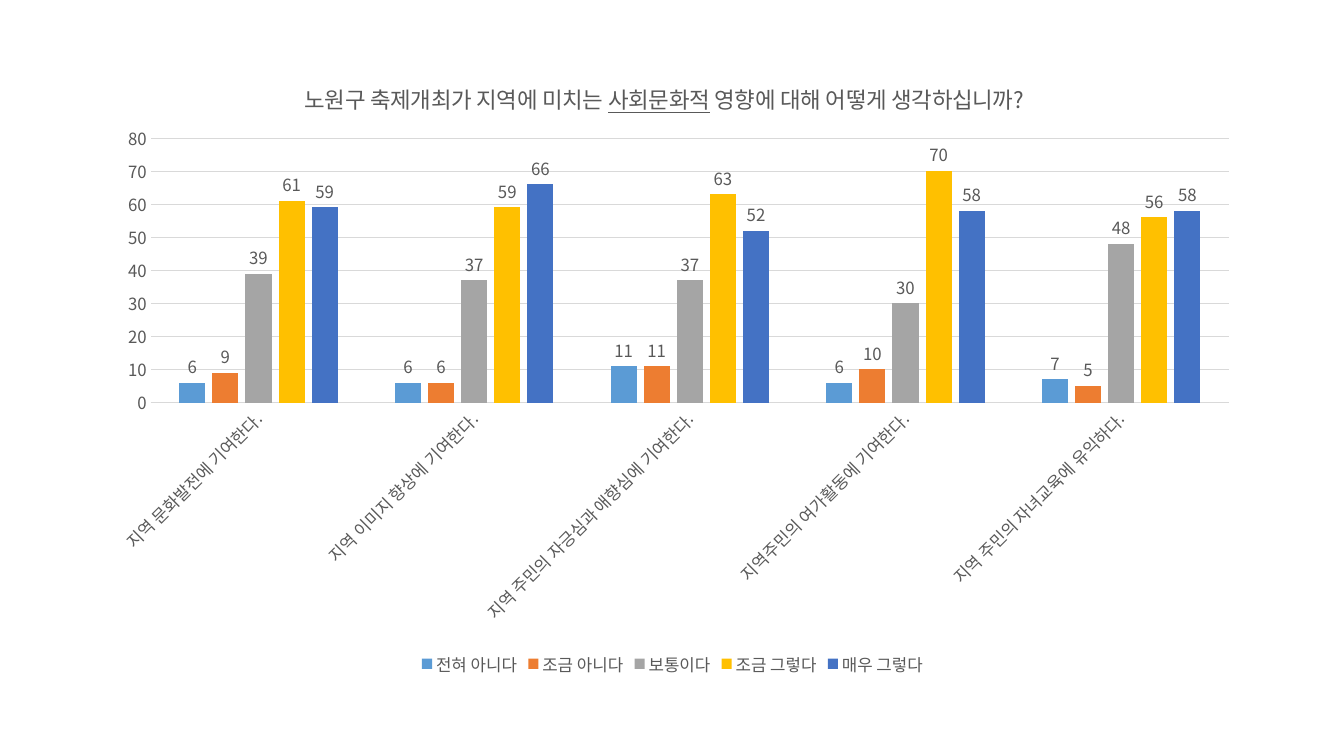
from lxml import etree
from pptx import Presentation
from pptx import util as u
from pptx.chart.data import CategoryChartData
from pptx.dml.color import RGBColor
from pptx.enum import chart as ch
from pptx.oxml.ns import qn

# Content
TITLE = [("노원구 축제개최가 지역에 미치는 ", False), ("사회문화적", True),
         (" 영향에 대해 어떻게 생각하십니까?", False)]
ITEMS = ["지역 문화발전에 기여한다.", "지역 이미지 향상에 기여한다.",
         "지역 주민의 자긍심과 애향심에 기여한다.",
         "지역주민의 여가활동에 기여한다.", "지역 주민의 자녀교육에 유익하다."]
SERIES = [
    ("전혀 아니다", [6, 6, 11, 6, 7], RGBColor(0x5B, 0x9B, 0xD5)),
    ("조금 아니다", [9, 6, 11, 10, 5], RGBColor(0xED, 0x7D, 0x31)),
    ("보통이다", [39, 37, 37, 30, 48], RGBColor(0xA5, 0xA5, 0xA5)),
    ("조금 그렇다", [61, 59, 63, 70, 56], RGBColor(0xFF, 0xC0, 0x00)),
    ("매우 그렇다", [59, 66, 52, 58, 58], RGBColor(0x44, 0x72, 0xC4)),
]

# Format values
FACE = "Noto Sans CJK KR"
GRAY = RGBColor(0x59, 0x59, 0x59)
RULE = RGBColor(0xD9, 0xD9, 0xD9)
LABEL = {"name": FACE, "size": u.Pt(12), "bold": False}
HEAD = {**LABEL, "size": u.Pt(16)}


def style(font, values=LABEL):
    for key, value in values.items():
        setattr(font, key, value)
    font.color.rgb = GRAY


def rule(line):
    line.color.rgb = RULE
    line.width = u.Pt(0.75)


def place(part, index, **values):
    """Set a manual layout, in fractions of the chart area."""
    layout = part.find(qn("c:layout"))
    if layout is None:
        layout = etree.Element(qn("c:layout"))
        part.insert(index, layout)
    manual = etree.SubElement(layout, qn("c:manualLayout"))
    for tag, value in values.items():
        etree.SubElement(manual, qn("c:" + tag)).set("val", str(value))


# Slide
prs = Presentation()
prs.slide_width, prs.slide_height = u.Inches(13.33), u.Inches(7.5)
slide = prs.slides.add_slide(prs.slide_layouts[6])

# Chart
data = CategoryChartData()
data.categories = ITEMS
for name, values, _ in SERIES:
    data.add_series(name, values)
box = [u.Inches(n) for n in (0.92, 0.53, 11.5, 6.22)]
chart = slide.shapes.add_chart(ch.XL_CHART_TYPE.COLUMN_CLUSTERED, *box, data).chart
style(chart.font, {**LABEL, "size": u.Pt(10)})

# Title
chart.has_title = True
line = chart.chart_title.text_frame.paragraphs[0]
style(line.font, HEAD)
for words, under in TITLE:
    run = line.add_run()
    run.text = words
    style(run.font, {**HEAD, "underline": under})
chart.chart_title.include_in_layout = False

# Columns and their values
plot = chart.plots[0]
plot.gap_width, plot.overlap, plot.vary_by_categories = 219, -27, False
for series, (_, _, color) in zip(plot.series, SERIES):
    series.format.fill.solid()
    series.format.fill.fore_color.rgb = color
    series.invert_if_negative = False
    labels = series.data_labels
    labels.show_value = True
    labels.position = ch.XL_LABEL_POSITION.OUTSIDE_END
    style(labels.font)

# Axes
cat, val = chart.category_axis, chart.value_axis
for axis in (cat, val):
    axis.major_tick_mark = axis.minor_tick_mark = ch.XL_TICK_MARK.NONE
    style(axis.tick_labels.font)
rule(cat.format.line)
val.format.line.fill.background()
val.has_major_gridlines = True
rule(val.major_gridlines.format.line)
val.minimum_scale, val.maximum_scale, val.major_unit = 0, 80, 10

# Legend
chart.has_legend = True
chart.legend.position = ch.XL_LEGEND_POSITION.BOTTOM
chart.legend.include_in_layout = False
style(chart.legend.font)

# Layout, slanted labels and Korean typeface
root = chart.element
place(next(root.iter(qn("c:title"))), 1, xMode="edge", yMode="edge", x=0.18, y=0.04)
place(next(root.iter(qn("c:plotArea"))), 0, layoutTarget="inner", xMode="edge",
      yMode="edge", x=0.05, y=0.135, w=0.93, h=0.422)
slant = next(root.iter(qn("c:catAx"))).find(qn("c:txPr")).find(qn("a:bodyPr"))
slant.set("rot", str(-45 * 60000))
for latin in list(root.iter(qn("a:latin"))):
    east = etree.Element(qn("a:ea"))
    east.set("typeface", FACE)
    latin.addnext(east)

prs.save("out.pptx")
